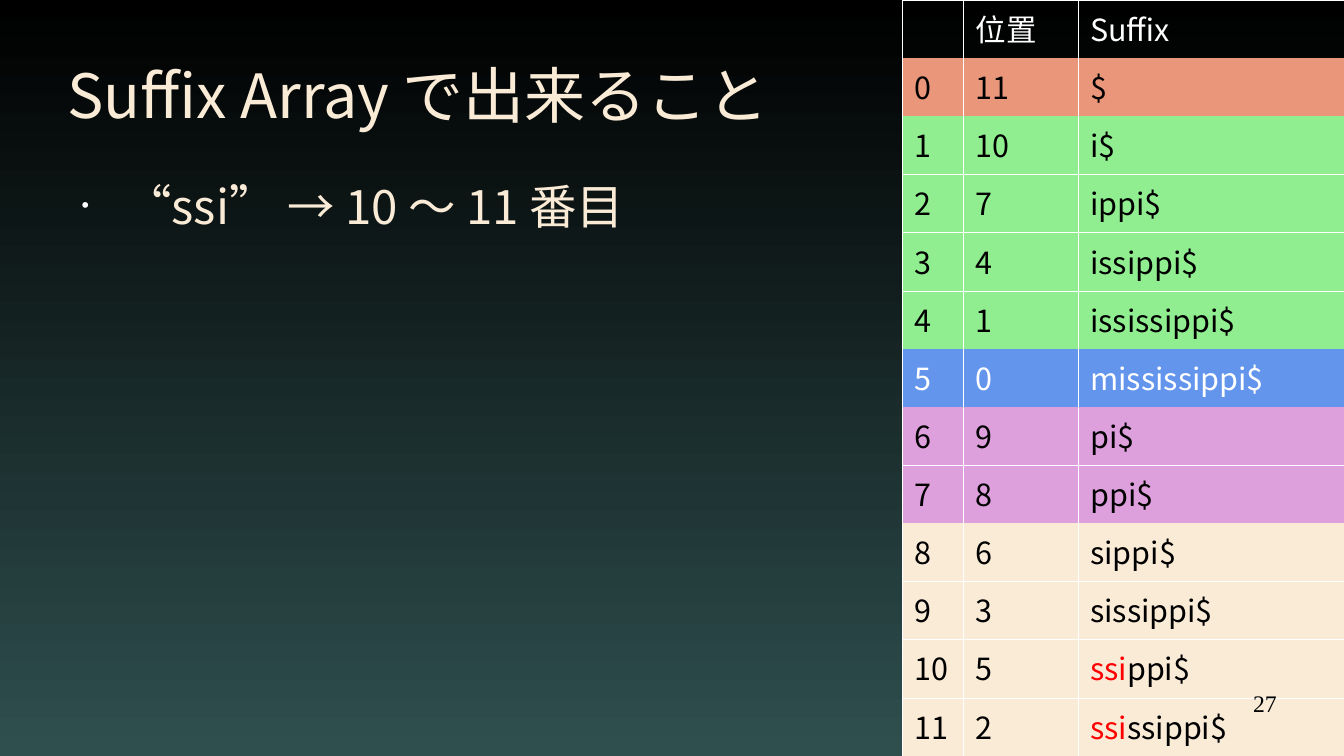
from lxml.etree import SubElement as Sub
from pptx import Presentation
from pptx.dml.color import RGBColor as Rgb
from pptx.enum.text import MSO_ANCHOR as Anchor, MSO_AUTO_SIZE as Auto, PP_ALIGN as Align
from pptx.oxml.ns import qn
from pptx.util import Inches, Pt

HUES = {"white": "FFFFFF", "black": "000000", "slate": "2F4F4F", "cream": "FAEBD7",
        "red": "FF0000", "$": "E9967A", "i": "90EE90", "m": "6495ED",
        "p": "DDA0DD", "s": "FAEBD7"}
SANS = "Noto Sans CJK JP"
WORD, QUERY = "mississippi$", "ssi"


def hue(name):
    """Return the named colour."""
    return Rgb.from_string(HUES[name])


def add_run(para, text, size, tint, face=SANS):
    """Add one run with its font, size and colour."""
    run = para.add_run()
    run.text = text
    run.font.size, run.font.name = Pt(size), face
    run.font.color.rgb = hue(tint)
    Sub(run.font._element, qn("a:ea")).set("typeface", face)


def set_box(shape, box, anchor):
    """Place a text shape, clear its margins and return its first paragraph."""
    shape.left, shape.top, shape.width, shape.height = map(Inches, box)
    frame = shape.text_frame
    frame.margin_left = frame.margin_right = frame.margin_top = frame.margin_bottom = 0
    frame.word_wrap, frame.auto_size = True, Auto.NONE
    frame.vertical_anchor = anchor
    return frame.paragraphs[0]


def set_title(shape, box, text):
    """Fill the title."""
    para = set_box(shape, box, Anchor.MIDDLE)
    para.alignment = Align.LEFT
    add_run(para, text, 36, "cream")


def set_list(shape, box, text):
    """Fill the body with one bulleted line."""
    para = set_box(shape, box, Anchor.TOP)
    props = para._p.get_or_add_pPr()
    props.set("marL", str(Inches(0.47)))
    props.set("indent", str(Inches(-0.35)))
    Sub(Sub(props, qn("a:buClr")), qn("a:srgbClr")).set("val", HUES["white"])
    Sub(props, qn("a:buSzPct")).set("val", "45000")
    Sub(props, qn("a:buChar")).set("char", "•")
    para.space_before = Pt(0)
    add_run(para, text, 28, "cream")


def set_cell(cell, parts, fill, sides):
    """Write a cell's runs, draw the given sides and fill it."""
    for text, tint in parts:
        add_run(cell.text_frame.paragraphs[0], text, 18, tint)
    props = cell._tc.get_or_add_tcPr()
    for side in "LRTB":
        line = Sub(props, qn("a:ln" + side), w=str(Pt(0.06)))
        if side in sides:
            Sub(Sub(line, qn("a:solidFill")), qn("a:srgbClr")).set("val", HUES["white"])
        else:
            Sub(line, qn("a:noFill"))
    if fill:
        cell.fill.solid()
        cell.fill.fore_color.rgb = hue(fill)
    else:
        cell.fill.background()


def add_array(slide, box, widths):
    """Add the suffix array as a table, tinted by first letter."""
    order = sorted(range(len(WORD)), key=lambda pos: WORD[pos:])
    rows = [("", "位置", "Suffix")]
    rows += [(str(num), str(pos), WORD[pos:]) for num, pos in enumerate(order)]
    fills = [None] + [WORD[pos] for pos in order]
    grid = slide.shapes.add_table(len(rows), len(widths), *map(Inches, box)).table
    grid.first_row = grid.horz_banding = False
    for col, width in zip(grid.columns, widths):
        col.width = Inches(width)
    for at, (row, fill) in enumerate(zip(rows, fills)):
        grid.rows[at].height = Inches(box[3] / len(rows))
        sides = "LR"
        if at == 0 or fills[at - 1] == fill:
            sides += "T"
        if at == len(rows) - 1 or fills[at + 1] == fill:
            sides += "B"
        tint = "white" if fill in (None, "m") else "black"
        for col, text in enumerate(row):
            parts = [(text, tint)] if text else []
            if text.startswith(QUERY):
                parts = [(QUERY, "red"), (text[len(QUERY):], tint)]
            set_cell(grid.cell(at, col), parts, fill, sides)


def add_page(slide, box, text):
    """Add the page number."""
    para = set_box(slide.shapes.add_textbox(0, 0, 0, 0), box, Anchor.TOP)
    para.alignment = Align.RIGHT
    add_run(para, text, 14, "black", "Times New Roman")


def set_back(slide):
    """Fade the background from black down to slate."""
    fill = slide.background.fill
    fill.gradient()
    fill.gradient_angle = 270
    for stop, name in zip(fill.gradient_stops, ("black", "slate")):
        stop.color.rgb = hue(name)


def main():
    """Build and save the slide."""
    deck = Presentation()
    deck.slide_width, deck.slide_height = Inches(11.02), Inches(6.2)
    slide = deck.slides.add_slide(deck.slide_layouts[1])
    set_back(slide)
    set_title(slide.shapes.title, (0.55, 0.25, 5.91, 1.04), "Suffix Array で出来ること")
    set_list(slide.placeholders[1], (0.55, 1.45, 9.92, 4.53), "“ssi” → 10 〜 11 番目")
    add_array(slide, (7.4, 0, 3.62, 6.2), (0.5, 0.94, 2.18))
    add_page(slide, (7.9, 5.65, 2.57, 0.43), "27")
    deck.save("out.pptx")


if __name__ == "__main__":
    main()
